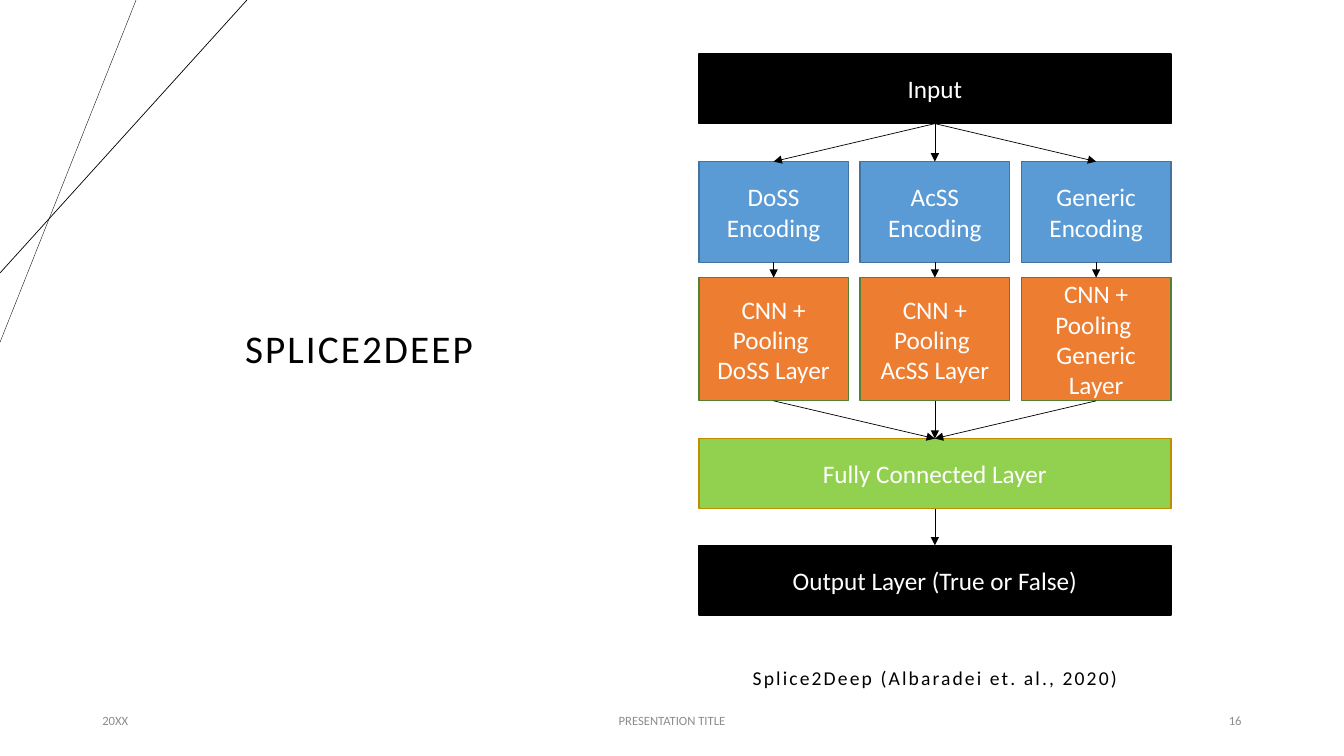
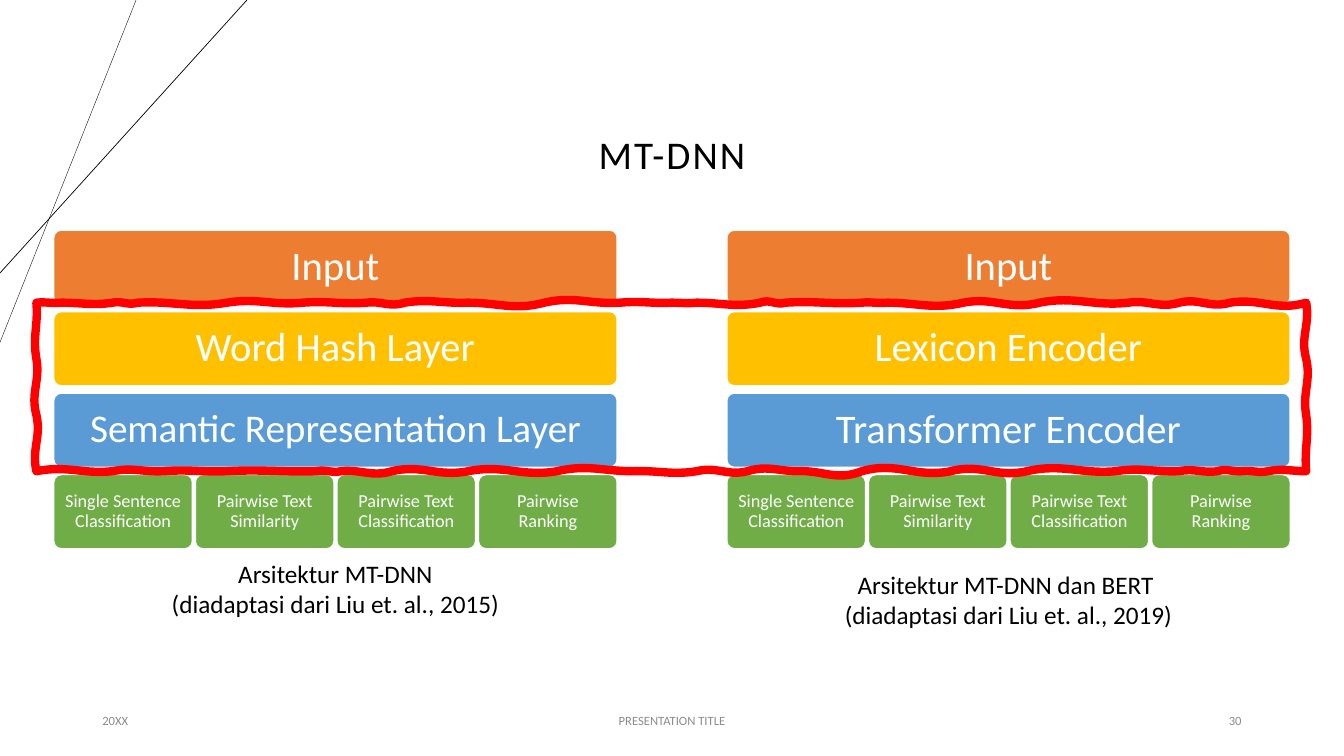
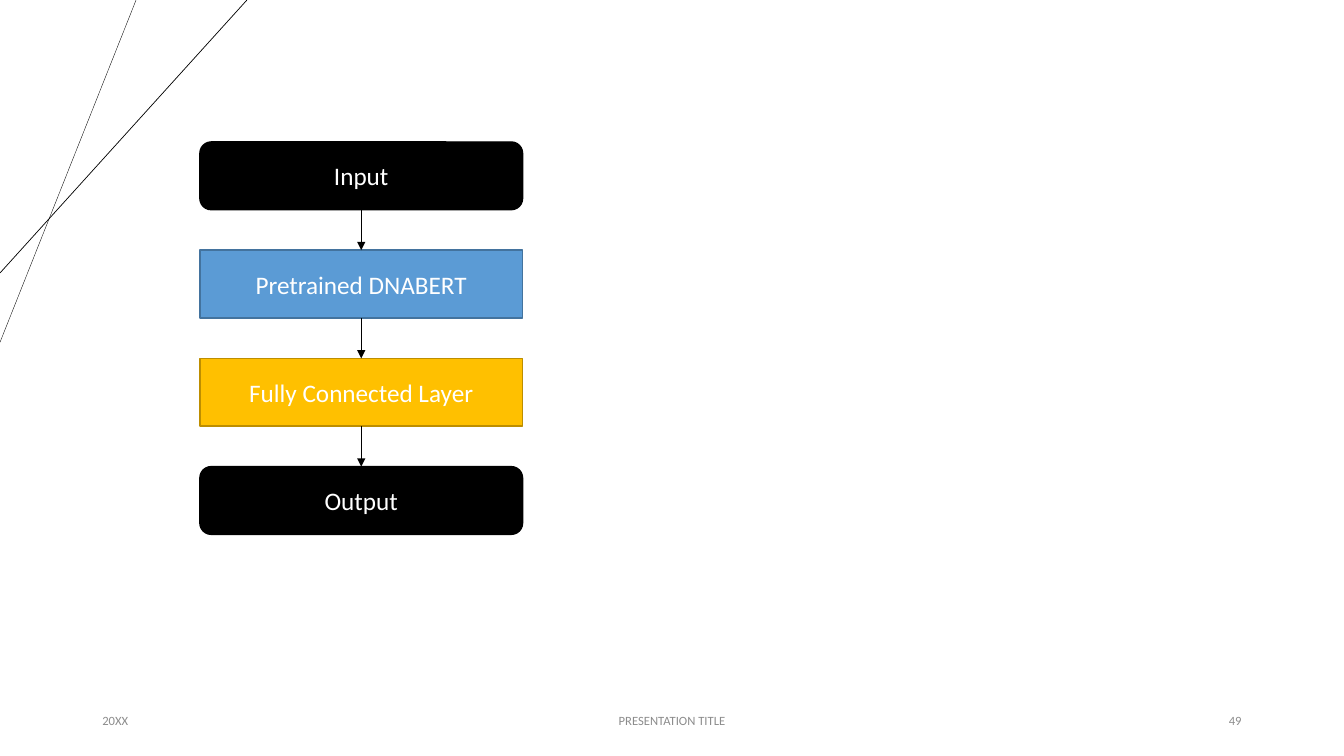
from pptx import Presentation
from pptx.dml.color import RGBColor as RGB
from pptx.enum.shapes import MSO_CONNECTOR as Conn, MSO_SHAPE as Kind
from pptx.enum.text import MSO_ANCHOR as Anchor, PP_ALIGN as Align
from pptx.oxml.ns import qn
from pptx.util import Pt
from lxml.etree import SubElement as Sub

# Colours and font
BLACK = RGB(0x00, 0x00, 0x00)
WHITE = RGB(0xFF, 0xFF, 0xFF)
GRAY = RGB(0x8C, 0x8C, 0x8C)
RED = RGB(0xFF, 0x00, 0x00)
BLUE = RGB(0x5B, 0x9B, 0xD5)
NAVY = RGB(0x43, 0x73, 0x9E)
ORANGE = RGB(0xED, 0x7D, 0x31)
GOLD = RGB(0xFF, 0xC0, 0x00)
BRONZE = RGB(0xBD, 0x8E, 0x00)
LIME = RGB(0x92, 0xD0, 0x50)
GREEN = RGB(0x70, 0xAD, 0x47)
FOREST = RGB(0x53, 0x80, 0x35)
FONT = "Calibri"

# Waves of the red frame: (length share, first bend, second bend)
TOP = [(1, -1, 1), (2, 0, 3), (1, -2, 3), (3.5, -2, 6), (3, -5, 3),
       (2.5, -2, 2), (1.5, -2, 5), (2.5, -4, 1), (3, 0, 8), (3, -7, 2),
       (2, -2, 1), (1, 0, 1), (2.5, 0, 5), (1, -4, 3), (3, -2, 2),
       (1, -1, 1), (3, 0, 7), (3, -6, 8), (3.5, -7, 4), (2, -3, 6),
       (2, -5, 6), (3, -5, 9)]
RIGHT = [(1, 4, -6), (1, 5, -4), (1, 3, -2)]
BOTTOM = [(1.5, 0, -3), (1, 2, -1), (1, 1, -3), (1.5, 2, -3), (2.5, 1, -4),
          (3.5, 3, -8), (3, 7, -8), (3.5, 7, -10), (2.5, 10, -1), (2, 0, -6),
          (2, 5, -5), (2.5, 4, -1), (3, 0, -7), (3.5, 6, -7), (3, 6, -7),
          (2, 6, -2), (1, 2, -2), (3.5, 1, -2), (2.5, 1, -2), (2, 1, -4),
          (3, 3, -6)]
LEFT = [(1, -5, 5), (1, -6, 4), (1, -4, 2)]
BEND = 0.72


def write(shape, text, size, color, align=Align.CENTER, anchor=Anchor.MIDDLE,
          lead=None, track=None):
    frame = shape.text_frame
    frame.word_wrap = True
    frame.vertical_anchor = anchor
    frame.text = text
    for para in frame.paragraphs:
        para.alignment = align
        para.line_spacing = lead
        for run in para.runs:
            run.font.name = FONT
            run.font.size = Pt(size)
            run.font.color.rgb = color
            if track:
                run.font._element.set("spc", str(track))


def label(slide, text, x, y, w, h, size, color=BLACK, **style):
    box = slide.shapes.add_textbox(Pt(x), Pt(y), Pt(w), Pt(h))
    write(box, text, size, color, **style)


def block(slide, text, x, y, w, h, fill, edge, size=18, kind=Kind.RECTANGLE,
          lead=None):
    shape = slide.shapes.add_shape(kind, Pt(x), Pt(y), Pt(w), Pt(h))
    shape.shadow.inherit = False
    shape.fill.solid()
    shape.fill.fore_color.rgb = fill
    shape.line.color.rgb = edge
    shape.line.width = Pt(1)
    write(shape, text, size, WHITE, lead=lead)
    return shape


def line(slide, x1, y1, x2, y2, width=0.5):
    wire = slide.shapes.add_connector(Conn.STRAIGHT, Pt(x1), Pt(y1), Pt(x2), Pt(y2))
    wire.line.color.rgb = BLACK
    wire.line.width = Pt(width)
    Sub(wire._element.spPr, qn("a:effectLst"))
    return wire


def link(slide, upper, lower):
    """Arrow from the bottom of one block to the top of another."""
    wire = line(slide, 0, 0, 0, 0)
    wire.begin_connect(upper, 2)
    wire.end_connect(lower, 0)
    Sub(wire.line._get_or_add_ln(), qn("a:tailEnd"), type="triangle")


def title(slide, text, x, y, w):
    label(slide, text, x, y, w, 104.4, 28, lead=0.9, track=150)


def corner(deck, slide):
    """Move the two corner lines to the master, where all slides share them."""
    tree = deck.slide_master.shapes._spTree
    for wire in (line(slide, 97.2, 0, 0, 244.5, 0.25), line(slide, 176.4, 0, 0, 195)):
        tree.append(wire._element)


def start(deck, number):
    """New slide with the footer."""
    slide = deck.slides.add_slide(deck.slide_layouts[6])
    for text, x, w, align in (("20XX", 66, 216, Align.LEFT),
                              ("PRESENTATION TITLE", 318, 324, Align.CENTER),
                              (number, 678, 216, Align.RIGHT)):
        label(slide, text, x, 500, w, 29, 9, GRAY, align=align)
    return slide


def stack(slide, x, rows, caption, base):
    """Three wide layers, a row of four tasks and a caption."""
    top, width, high, step = 164.4, 402.4, 53, 58.2
    small, tasks = 99, ("Single Sentence Classification", "Pairwise Text Similarity",
                        "Pairwise Text Classification", "Pairwise Ranking")
    pitch = (width - small) / (len(tasks) - 1)
    cells = [(text, x, top + i * step, width, fill, size, 10)
             for i, ((text, size), fill) in enumerate(zip(rows, (ORANGE, GOLD, BLUE)))]
    cells += [(text, x + i * pitch, top + 3 * step, small, GREEN, 13, 5)
              for i, text in enumerate(tasks)]
    for text, left, y, w, fill, size, pad in cells:
        shape = block(slide, text, left, y, w, high, fill, WHITE, size,
                      Kind.ROUNDED_RECTANGLE, lead=0.9)
        shape.adjustments[0] = 0.1
        frame = shape.text_frame
        frame.margin_left = frame.margin_right = Pt(pad)
        frame.margin_top = frame.margin_bottom = Pt(pad)
    label(slide, caption, x, base, width, 51, 18, anchor=Anchor.TOP)


def wave(begin, end, bends):
    """Curves of one wavy side, each as two control points and an end."""
    (x1, y1), (x2, y2) = begin, end
    total, done = sum(b[0] for b in bends), 0
    for size, first, last in bends:
        curve = []
        for part, bend in ((0.4, first), (0.6, last), (1, 0)):
            way, off = (done + size * part) / total, bend * BEND
            dx, dy = (off, 0) if x1 == x2 else (0, off)
            curve.append((x1 + (x2 - x1) * way + dx, y1 + (y2 - y1) * way + dy))
        yield curve
        done += size


def frame(slide, x, y, w, h):
    ends = [(0, 0), (w, 0), (w, h), (0, h), (0, 0)]
    pen = slide.shapes.build_freeform(Pt(x), Pt(y))
    pen.add_line_segments([(Pt(x + a), Pt(y + b)) for a, b in ends[1:4]])
    shape = pen.convert_to_shape()
    shape.shadow.inherit = False
    shape.fill.background()
    shape.line.color.rgb = RED
    shape.line.width = Pt(6)

    # Swap the straight sides for curves
    sides = list(shape._element.iter(qn("a:lnTo")))
    trace = sides[0].getparent()
    for side in sides + list(trace.findall(qn("a:close"))):
        trace.remove(side)
    for begin, end, bends in zip(ends, ends[1:], (TOP, RIGHT, BOTTOM, LEFT)):
        for curve in wave(begin, end, bends):
            node = Sub(trace, qn("a:cubicBezTo"))
            for a, b in curve:
                Sub(node, qn("a:pt"), x=str(int(Pt(a))), y=str(int(Pt(b))))
    Sub(trace, qn("a:close"))


def splice(deck):
    slide = start(deck, "16")
    corner(deck, slide)
    title(slide, "SPLICE2DEEP", 148.5, 198.4, 216)
    x, w, col, pitch = 499.2, 337.2, 106.8, 115.2

    # Wide layers
    head = block(slide, "Input", x, 38.5, w, 49.8, BLACK, BLACK)
    dense = block(slide, "Fully Connected Layer", x, 313.3, w, 50, LIME, BRONZE)
    out = block(slide, "Output Layer (True or False)", x, 389.6, w, 49.8, BLACK, BLACK)

    # One column for each encoding
    for i, name in enumerate(("DoSS", "AcSS", "Generic")):
        left = x + i * pitch
        code = block(slide, f"{name} Encoding", left, 115.4, col, 72, BLUE, NAVY)
        conv = block(slide, f"CNN + Pooling \v{name} Layer", left, 198.3, col, 88,
                     ORANGE, FOREST)
        link(slide, head, code)
        link(slide, code, conv)
        link(slide, conv, dense)
    link(slide, dense, out)
    label(slide, "Splice2Deep (Albaradei et. al., 2020)", 511.3, 467.6, 313.2, 28.8, 14,
          anchor=Anchor.BOTTOM, lead=0.9, track=150)


def tasks(deck):
    slide = start(deck, "30")
    title(slide, "MT-DNN", 148.5, 60.1, 663)
    stack(slide, 519.2,
          (("Input", 29), ("Lexicon Encoder", 29), ("Transformer Encoder", 29)),
          "Arsitektur MT-DNN dan BERT \v(diadaptasi dari Liu et. al., 2019)", 402.8)
    stack(slide, 38.4,
          (("Input", 29), ("Word Hash Layer", 29), ("Semantic Representation Layer", 28)),
          "Arsitektur MT-DNN\v(diadaptasi dari Liu et. al., 2015)", 395.4)
    frame(slide, 26, 216.2, 907, 120.4)


def bert(deck):
    slide = start(deck, "49")
    steps = (("Input", BLACK, BLACK, Kind.ROUNDED_RECTANGLE),
             ("Pretrained DNABERT", BLUE, NAVY, Kind.RECTANGLE),
             ("Fully Connected Layer", GOLD, BRONZE, Kind.RECTANGLE),
             ("Output", BLACK, BLACK, Kind.ROUNDED_RECTANGLE))
    chain = [block(slide, text, 142.8, 101.4 + i * 77.3, 230.5, 48.4, fill, edge, kind=kind)
             for i, (text, fill, edge, kind) in enumerate(steps)]
    for upper, lower in zip(chain, chain[1:]):
        link(slide, upper, lower)


def main():
    deck = Presentation()
    deck.slide_width, deck.slide_height = Pt(960), Pt(540)
    splice(deck)
    tasks(deck)
    bert(deck)
    deck.save("out.pptx")


if __name__ == "__main__":
    main()
